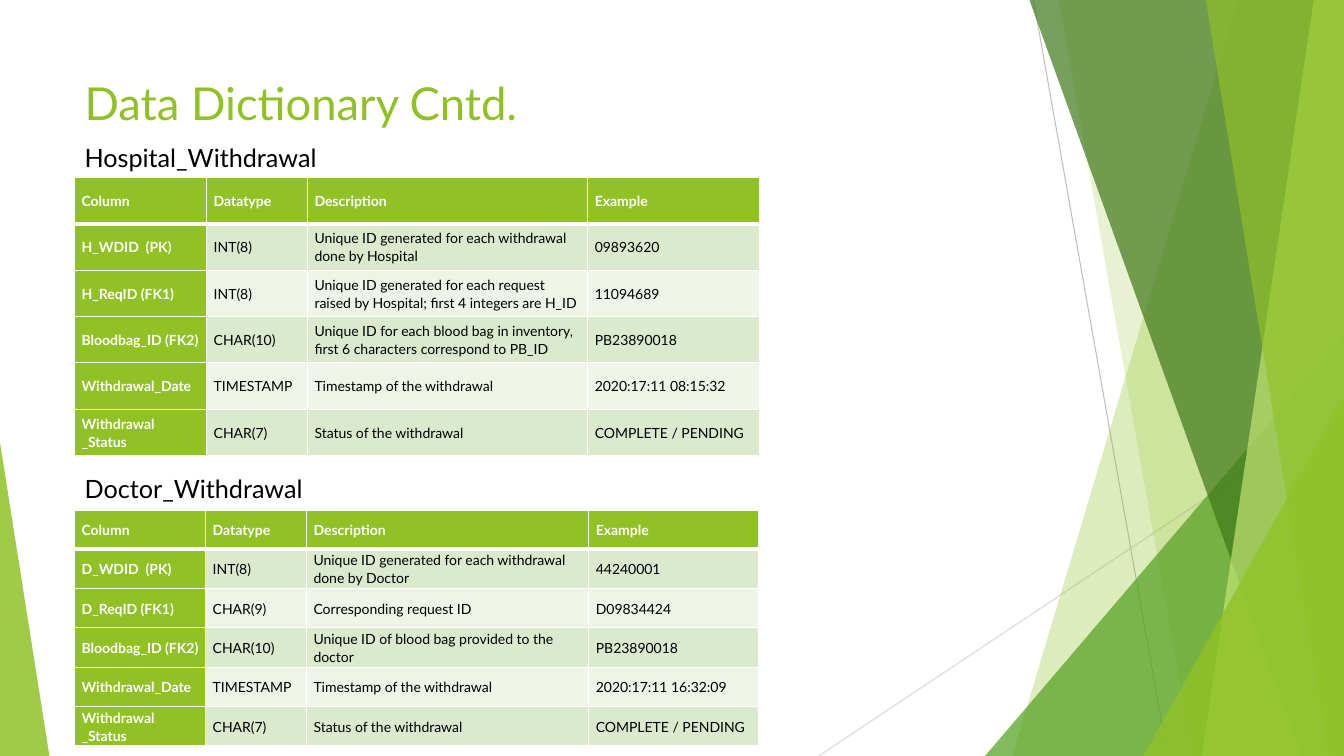
import pptx
import pptx.dml.color
import pptx.enum.shapes
import pptx.enum.text
import pptx.oxml
import pptx.oxml.ns
import pptx.util
from pptx.util import Inches

WIDTH, HEIGHT = 13.33, 7.5
LEFT = 0.74
GREEN, WHITE, BLACK = "90C226", "FFFFFF", "000000"
BANDS = ("DBE9CD", "EEF4E8")


def color(hex_string):
    return pptx.dml.color.RGBColor.from_string(hex_string)


class SlideBuilder:
    font = "Lato"

    def __init__(self, slide):
        self.slide = slide
        self.shapes = slide.shapes

    def add_run(self, frame, text, size, hex_color, bold=False):
        paragraph = frame.paragraphs[0]
        run = paragraph.add_run()
        run.text = text
        run.font.name = self.font
        run.font.size = pptx.util.Pt(size)
        run.font.bold = bold
        run.font.color.rgb = color(hex_color)
        return paragraph

    def text(self, box, text, size, hex_color):
        frame = self.shapes.add_textbox(*map(Inches, box)).text_frame
        frame.word_wrap = True
        frame.vertical_anchor = pptx.enum.text.MSO_ANCHOR.MIDDLE
        self.add_run(frame, text, size, hex_color)

    def line(self, start, end, hex_color):
        line = self.shapes.add_connector(
            pptx.enum.shapes.MSO_CONNECTOR.STRAIGHT, *map(Inches, start + end))
        line.line.color.rgb = color(hex_color)
        line.line.width = pptx.util.Pt(0.75)
        effects = pptx.oxml.parse_xml(f'<a:effectLst {pptx.oxml.ns.nsdecls("a")}/>')
        line._element.spPr.append(effects)

    def paint(self, shape, hex_color, opacity):
        shape.shadow.inherit = False
        shape.line.fill.background()
        shape.fill.solid()
        shape.fill.fore_color.rgb = color(hex_color)
        rgb = shape._element.spPr.find(".//" + pptx.oxml.ns.qn("a:srgbClr"))
        rgb.append(pptx.oxml.parse_xml(
            f'<a:alpha {pptx.oxml.ns.nsdecls("a")} val="{opacity * 1000}"/>'))

    def blade(self, top_left, bottom_left, hex_color, opacity):
        """Full-height facet that reaches the right edge of the slide."""
        corners = [(WIDTH, 0), (WIDTH, HEIGHT), (bottom_left, HEIGHT)]
        builder = self.shapes.build_freeform(Inches(top_left), 0)
        builder.add_line_segments([tuple(map(Inches, corner)) for corner in corners])
        self.paint(builder.convert_to_shape(), hex_color, opacity)

    def triangle(self, box, apex, hex_color, opacity):
        shape = self.shapes.add_shape(
            pptx.enum.shapes.MSO_SHAPE.ISOSCELES_TRIANGLE, *map(Inches, box))
        shape.adjustments[0] = apex
        self.paint(shape, hex_color, opacity)

    def border(self, cell, side, points):
        cell._tc.get_or_add_tcPr().append(pptx.oxml.parse_xml(
            f'<a:ln{side} {pptx.oxml.ns.nsdecls("a")} w="{pptx.util.Pt(points)}">'
            f'<a:solidFill><a:srgbClr val="{WHITE}"/></a:solidFill></a:ln{side}>'))

    def cell(self, cell, text, row, column):
        heading = row == 0 or column == 0
        cell.margin_left = cell.margin_right = Inches(0.07)
        cell.margin_top = cell.margin_bottom = 0
        cell.vertical_anchor = pptx.enum.text.MSO_ANCHOR.MIDDLE
        # The rule under the header row is thicker
        for side in "LRTB":
            thick = (side, row) in (("B", 0), ("T", 1))
            self.border(cell, side, 3 if thick else 1)
        cell.fill.solid()
        cell.fill.fore_color.rgb = color(GREEN if heading else BANDS[(row - 1) % 2])
        paragraph = self.add_run(cell.text_frame, text, 10,
                                 WHITE if heading else BLACK, heading)
        paragraph.line_spacing = 1.07

    def table(self, top, widths, row_height, rows):
        table = self.shapes.add_table(
            len(rows), len(widths), Inches(LEFT), Inches(top),
            Inches(sum(widths)), Inches(row_height * len(rows))).table
        table.horz_banding = False
        for column, width in zip(table.columns, widths):
            column.width = Inches(width)
        for r, values in enumerate(rows):
            table.rows[r].height = Inches(row_height)
            for c, value in enumerate(values):
                self.cell(table.cell(r, c), value, r, c)


HEADER = ("Column", "Datatype", "Description", "Example")
STATUS = ("Withdrawal _Status", "CHAR(7)", "Status of the withdrawal", "COMPLETE / PENDING")
HOSPITAL = [
    HEADER,
    ("H_WDID  (PK)", "INT(8)",
     "Unique ID generated for each withdrawal done by Hospital", "09893620"),
    ("H_ReqID (FK1)", "INT(8)",
     "Unique ID generated for each request raised by Hospital; first 4 integers are H_ID",
     "11094689"),
    ("Bloodbag_ID (FK2)", "CHAR(10)",
     "Unique ID for each blood bag in inventory, first 6 characters correspond to PB_ID",
     "PB23890018"),
    ("Withdrawal_Date", "TIMESTAMP", "Timestamp of the withdrawal", "2020:17:11 08:15:32"),
    STATUS,
]
DOCTOR = [
    HEADER,
    ("D_WDID  (PK)", "INT(8)",
     "Unique ID generated for each withdrawal done by Doctor", "44240001"),
    ("D_ReqID (FK1)", "CHAR(9)", "Corresponding request ID", "D09834424"),
    ("Bloodbag_ID (FK2)", "CHAR(10)",
     "Unique ID of blood bag provided to the doctor", "PB23890018"),
    ("Withdrawal_Date", "TIMESTAMP", "Timestamp of the withdrawal", "2020:17:11 16:32:09"),
    STATUS,
]


def main():
    deck = pptx.Presentation()
    deck.slide_width, deck.slide_height = Inches(WIDTH), Inches(HEIGHT)
    page = SlideBuilder(deck.slides.add_slide(deck.slide_layouts[6]))

    # Faceted backdrop, back to front
    page.line((10.25, 0), (11.58, HEIGHT), "BFBFBF")
    page.line((WIDTH, 4.03), (8.12, HEIGHT), "D9D9D9")
    page.blade(12.28, 10.04, GREEN, 30)
    page.blade(10.5, 11.83, GREEN, 20)
    page.triangle((9.77, 3.33, 3.56, 4.17), 1, "54A021", 72)
    page.blade(10.21, 12.91, "3F7819", 70)
    page.blade(13.03, 11.92, "C0E474", 70)
    page.blade(11.96, 13.18, GREEN, 65)
    page.triangle((11.34, 3.93, 1.99, 3.57), 1, GREEN, 80)
    page.triangle((0, 4.39, 0.49, 3.11), 0, GREEN, 85)

    # Title
    page.text((LEFT, 0.67, 9.4, 0.69), "Data Dictionary Cntd.", 32.4, GREEN)

    # Hospital withdrawals
    page.text((LEFT, 1.36, 2.91, 0.4), "Hospital_Withdrawal", 18, BLACK)
    page.table(1.76, (1.31, 1, 2.78, 1.7), 0.46, HOSPITAL)

    # Doctor withdrawals
    page.text((LEFT, 4.65, 2.91, 0.4), "Doctor_Withdrawal", 18, BLACK)
    page.table(5.06, (1.3, 1, 2.8, 1.68), 0.39, DOCTOR)

    deck.save("out.pptx")


if __name__ == "__main__":
    main()
